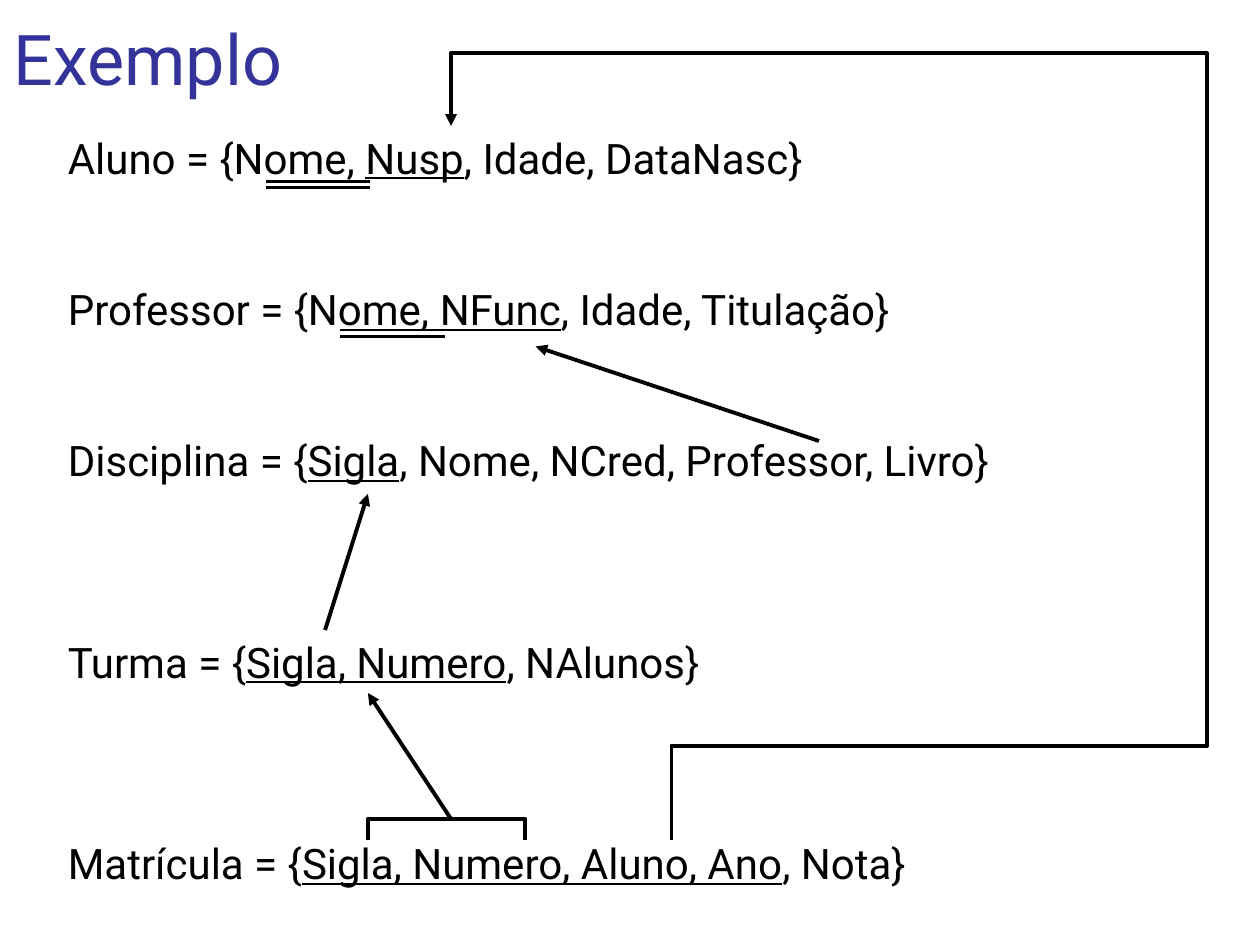
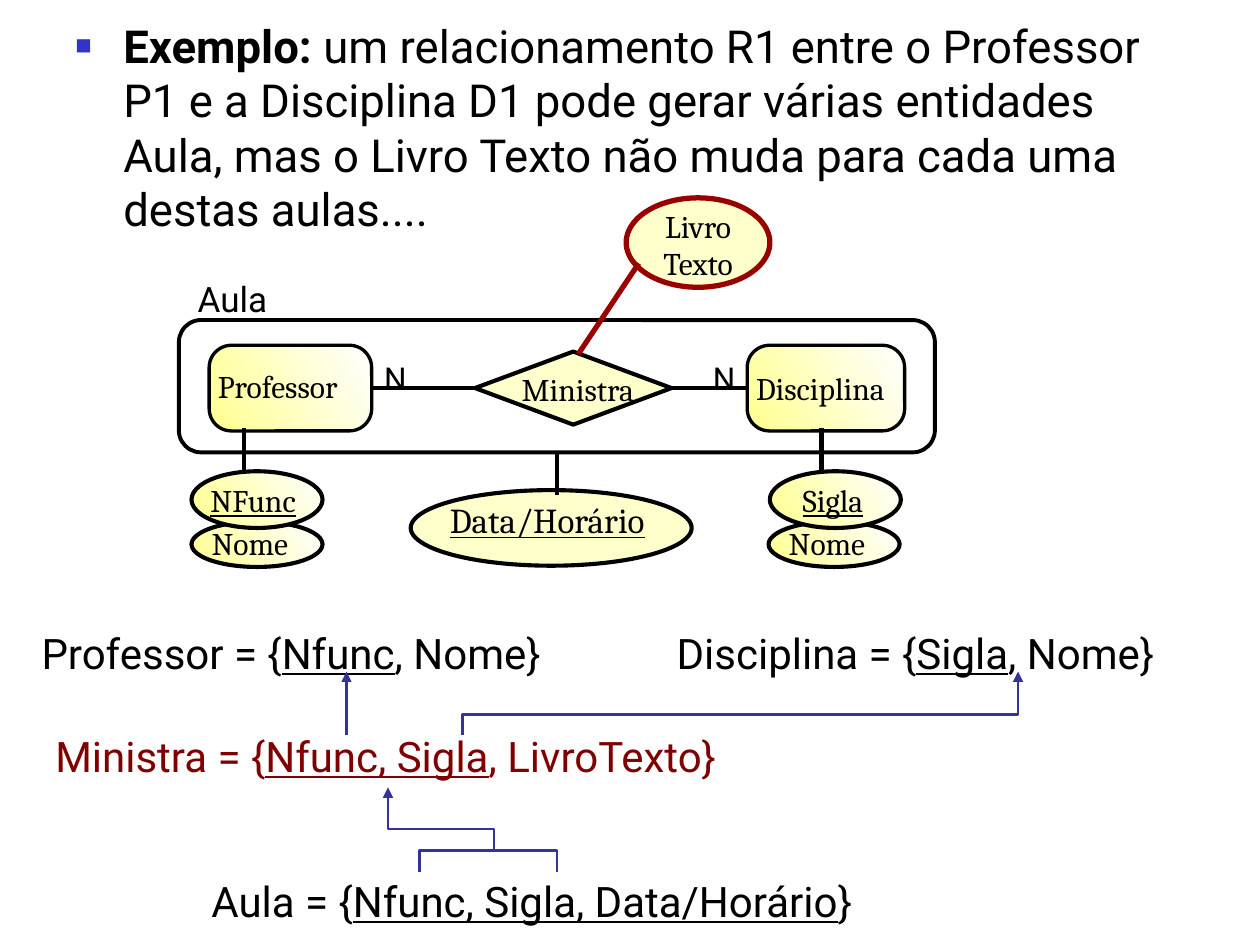
"""Builds two slides on relational schemas and their entity-relationship diagram."""
from lxml.etree import SubElement
from pptx import Presentation
from pptx.dml.color import RGBColor
from pptx.enum.shapes import MSO_CONNECTOR, MSO_SHAPE
from pptx.enum.text import MSO_ANCHOR, PP_ALIGN
from pptx.oxml.ns import qn
from pptx.util import Inches, Pt

BLACK = RGBColor(0x00, 0x00, 0x00)
NAVY = RGBColor(0x33, 0x33, 0x99)
RED = RGBColor(0x99, 0x00, 0x00)
MAROON = RGBColor(0x80, 0x00, 0x00)
CREAM = RGBColor(0xFF, 0xFF, 0xCC)
YELLOW = RGBColor(0xFF, 0xFF, 0x90)
WHITE = RGBColor(0xFF, 0xFF, 0xFF)
SANS, SERIF = "Roboto", "Cambria"


def add_text(s, box, lines, size, font=SANS, color=BLACK, inset=(0, 0)):
    """Adds a text box; every second run of a line is underlined."""
    tf = s.shapes.add_textbox(*map(Inches, box)).text_frame
    tf.word_wrap = True
    tf.margin_left = tf.margin_right = Inches(inset[0])
    tf.margin_top = tf.margin_bottom = Inches(inset[1])
    for i, runs in enumerate(lines):
        p = tf.paragraphs[0] if i == 0 else tf.add_paragraph()
        for j, text in enumerate(runs):
            if text:
                r = p.add_run()
                r.text = text
                r.font.name, r.font.size = font, Pt(size)
                r.font.color.rgb = color
                r.font.underline = j % 2 == 1
    return tf


def add_path(s, points, color, width, arrow=False):
    """Draws a connector for two points or an open outline for more."""
    pts = [(Inches(x), Inches(y)) for x, y in points]
    if len(pts) == 2:
        sp = s.shapes.add_connector(MSO_CONNECTOR.STRAIGHT, *pts[0], *pts[1])
    else:
        builder = s.shapes.build_freeform(*pts[0])
        builder.add_line_segments(pts[1:], close=False)
        sp = builder.convert_to_shape()
        sp.fill.background()
    sp.line.color.rgb, sp.line.width = color, Pt(width)
    if arrow:
        SubElement(sp.line._get_or_add_ln(), qn("a:tailEnd"), type="triangle")
    SubElement(sp._element.spPr, qn("a:effectLst"))
    return sp


prs = Presentation()
prs.slide_width, prs.slide_height = Inches(10), Inches(7.5)
blank = prs.slide_layouts[6]

s = prs.slides.add_slide(blank)
tf = add_text(s, (0.11, 0.12, 6.03, 0.67), [["Exemplo"]], 40, color=NAVY)
tf.vertical_anchor = MSO_ANCHOR.BOTTOM

relations = [
    ["Aluno = {Nome, ", "Nusp", ", Idade, DataNasc}"],
    ["Professor = {Nome, ", "NFunc", ", Idade, Titulação}"],
    ["Disciplina = {", "Sigla", ", Nome, NCred, Professor, Livro}"],
    ["Turma = {", "Sigla, Numero", ", NAlunos}"],
    ["Matrícula = {", "Sigla, Numero, Aluno, Ano", ", Nota}"],
]
tf = add_text(s, (0.44, 1, 8.2, 6.2), relations, 24, inset=(0.1, 0.05))
for p, gap in zip(tf.paragraphs[1:], (57.6, 57.6, 86.4, 86.4)):
    p.space_before = Pt(gap)

add_path(s, [(2.92, 6.67), (2.92, 6.5), (4.17, 6.5), (4.17, 6.67)], BLACK, 2.25)
for points in (
    [(3.58, 6.5), (2.92, 5.5)],
    [(5.33, 6.67), (5.33, 5.92), (9.58, 5.92), (9.58, 0.42), (3.58, 0.42), (3.58, 1)],
    [(2.58, 5), (2.92, 3.92)],
    [(6.5, 3.5), (4.25, 2.75)],
):
    add_path(s, points, BLACK, 2.25, arrow=True)
for x, y in ((2.11, 1.44), (2.7, 2.62)):
    for rule_y in (y, y + 0.05):
        add_path(s, [(x, rule_y), (x + 0.83, rule_y)], BLACK, 1.5)

s = prs.slides.add_slide(blank)
tf = add_text(s, (0.5, 0.09, 9.08, 1.9), [[]], 26, inset=(0.1, 0.05))
p = tf.paragraphs[0]
pPr = p._p.get_or_add_pPr()
pPr.set("marL", str(Inches(0.38)))
pPr.set("indent", str(-Inches(0.38)))
SubElement(SubElement(pPr, qn("a:buClr")), qn("a:srgbClr"), val="3333CC")
SubElement(pPr, qn("a:buSzPct"), val="60000")
SubElement(pPr, qn("a:buFont"), typeface="Arial")
SubElement(pPr, qn("a:buChar"), char="■")
for text, bold in (
    ("Exemplo:", True),
    (" um relacionamento R1 entre o Professor P1 e a Disciplina D1 pode gerar várias "
     "entidades Aula, mas o Livro Texto não muda para cada uma destas aulas....", False),
):
    r = p.add_run()
    r.text = text
    r.font.name, r.font.size, r.font.bold = SANS, Pt(26), bold
    r.font.color.rgb = BLACK

OVAL, ROUND = MSO_SHAPE.OVAL, MSO_SHAPE.ROUNDED_RECTANGLE
diagram = {}
for name, kind, box, fill, color, width in (
    ("aula", ROUND, (1.42, 2.54, 6, 1.05), None, BLACK, 2.25),
    ("data", OVAL, (3.26, 3.89, 2.23, 0.6), CREAM, BLACK, 2.35),
    ("professor", ROUND, (1.66, 2.74, 1.29, 0.68), YELLOW, BLACK, 1.9),
    ("disciplina", ROUND, (5.93, 2.74, 1.25, 0.68), YELLOW, BLACK, 1.9),
    ("ministra", MSO_SHAPE.DIAMOND, (3.77, 2.79, 1.56, 0.58), CREAM, BLACK, 2.35),
    ("livro", OVAL, (4.97, 1.57, 1.14, 0.71), CREAM, RED, 3),
    ("professor nome", OVAL, (1.52, 4.14, 1.04, 0.36), YELLOW, BLACK, 2.35),
    ("professor chave", OVAL, (1.52, 3.74, 1.04, 0.45), YELLOW, BLACK, 2.35),
    ("disciplina nome", OVAL, (6.1, 4.14, 1.04, 0.36), YELLOW, BLACK, 2.35),
    ("disciplina chave", OVAL, (6.11, 3.74, 1.04, 0.45), YELLOW, BLACK, 2.35),
):
    sp = s.shapes.add_shape(kind, *map(Inches, box))
    sp.shadow.inherit = False
    sp.line.color.rgb, sp.line.width = color, Pt(width)
    if fill is None:
        sp.fill.background()
    elif fill == YELLOW:
        sp.fill.gradient()
        sp.fill.gradient_angle = 30
        for stop, shade, position in zip(sp.fill.gradient_stops, (YELLOW, WHITE), (0, 1)):
            stop.color.rgb, stop.position = shade, position
    else:
        sp.fill.solid()
        sp.fill.fore_color.rgb = fill
    diagram[name] = sp
for name in ("professor", "disciplina"):
    diagram[name].adjustments[0] = 0.26

cn = add_path(s, [(2.95, 3.08), (3.77, 3.08)], BLACK, 2.35)
cn.begin_connect(diagram["professor"], 3)
cn.end_connect(diagram["ministra"], 1)
cn = add_path(s, [(5.33, 3.08), (5.93, 3.08)], BLACK, 2.35)
cn.begin_connect(diagram["ministra"], 3)
cn.end_connect(diagram["disciplina"], 1)
cn = add_path(s, [(4.42, 3.59), (4.42, 3.93)], BLACK, 2.35)
cn.begin_connect(diagram["aula"], 2)
for x in (1.94, 6.52):
    add_path(s, [(x, 3.4), (x, 3.76)], BLACK, 2.35)
add_path(s, [(4.59, 2.81), (5.07, 2.09)], RED, 3)

for box, runs, size, align in (
    ((3.57, 3.96, 2, 0.33), ["", "Data/Horário"], 20, PP_ALIGN.LEFT),
    ((1.73, 2.91, 1.21, 0.3), ["Professor"], 18, PP_ALIGN.LEFT),
    ((6, 2.93, 1.18, 0.3), ["Disciplina"], 18, PP_ALIGN.LEFT),
    ((4.14, 2.94, 0.94, 0.3), ["Ministra"], 18, PP_ALIGN.LEFT),
    ((5.13, 1.64, 0.82, 0.6), ["Livro Texto"], 18, PP_ALIGN.CENTER),
    ((1.68, 4.16, 0.86, 0.3), ["Nome"], 18, PP_ALIGN.LEFT),
    ((1.67, 3.82, 0.88, 0.3), ["", "NFunc"], 18, PP_ALIGN.LEFT),
    ((6.26, 4.16, 0.86, 0.3), ["Nome"], 18, PP_ALIGN.LEFT),
    ((6.17, 3.82, 0.88, 0.3), ["", "Sigla"], 18, PP_ALIGN.CENTER),
):
    add_text(s, box, [runs], size, SERIF).paragraphs[0].alignment = align
for x in (2.95, 5.56):
    add_text(s, (x, 2.8, 0.39, 0.4), [["N"]], 18, inset=(0.1, 0.05))
add_text(s, (1.47, 2.15, 0.78, 0.44), [["Aula"]], 20, inset=(0.1, 0.05))

for box, runs, color, inset, spacing in (
    ((0.33, 4.58, 4.5, 0.8), ["Professor = {", "Nfunc", ", Nome}"], BLACK, (0, 0), 2),
    ((5.37, 4.58, 4.38, 0.8), ["Disciplina = {", "Sigla", ", Nome}"], BLACK, (0, 0), 2),
    ((0.34, 5.75, 5.78, 0.5), ["Ministra = {", "Nfunc, Sigla", ", LivroTexto}"],
     MAROON, (0.1, 0.05), 1),
    ((1.58, 6.5, 5.46, 0.9), ["Aula = {", "Nfunc, Sigla, Data/Horário", "}"],
     BLACK, (0.1, 0.05), 2),
):
    tf = add_text(s, box, [runs], 24, color=color, inset=inset)
    tf.paragraphs[0].line_spacing = float(spacing)

add_path(s, [(3.33, 6.92), (3.33, 6.75), (4.42, 6.75), (4.42, 6.92)], NAVY, 1.5)
for points in (
    [(2.75, 5.83), (2.75, 5.33)],
    [(3.67, 5.83), (3.67, 5.67), (8.08, 5.67), (8.08, 5.33)],
    [(3.92, 6.75), (3.92, 6.58), (3.08, 6.58), (3.08, 6.25)],
):
    add_path(s, points, NAVY, 1.5, arrow=True)

prs.save("out.pptx")
